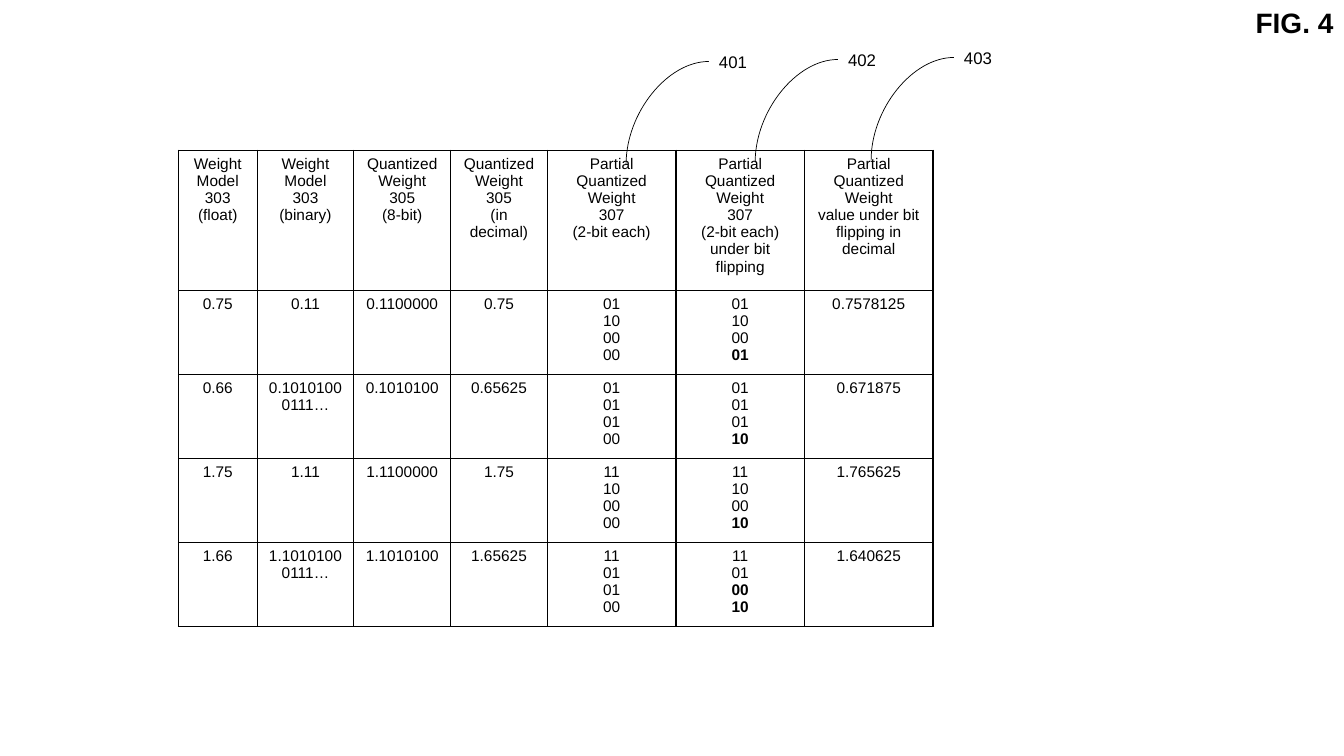
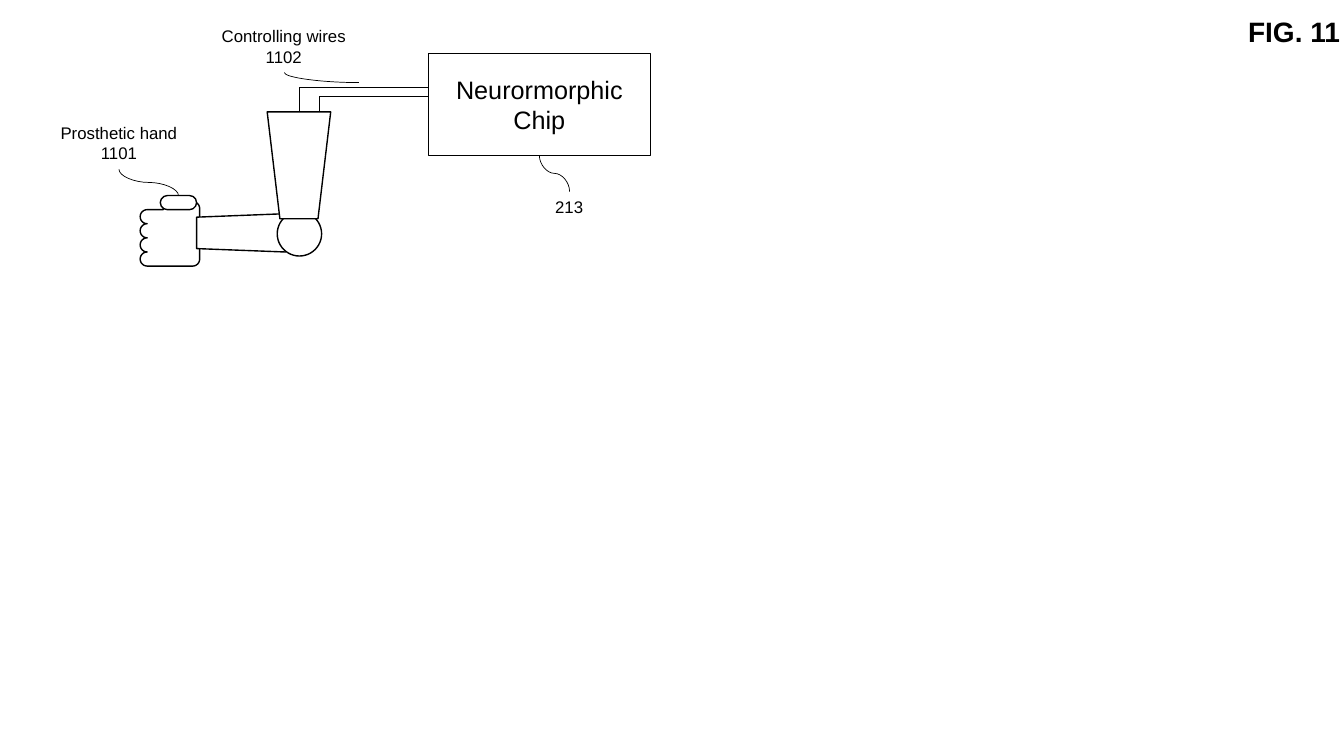
import math

import lxml.etree
import pptx
import pptx.dml.color
import pptx.enum.shapes
import pptx.enum.text
import pptx.oxml.ns
import pptx.util

BLACK = "000000"
WHITE = "FFFFFF"
FONT = "Arial"
SHAPES = pptx.enum.shapes.MSO_SHAPE
CONNECTORS = pptx.enum.shapes.MSO_CONNECTOR
CENTER = pptx.enum.text.PP_ALIGN.CENTER
MIDDLE = pptx.enum.text.MSO_ANCHOR.MIDDLE
TOP = pptx.enum.text.MSO_ANCHOR.TOP
FIT = pptx.enum.text.MSO_AUTO_SIZE.SHAPE_TO_FIT_TEXT

WEIGHT_ROWS = [
    ["Weight Model|303|(float)", "Weight Model|303|(binary)",
     "Quantized Weight|305|(8-bit)", "Quantized Weight|305|(in decimal)",
     "Partial Quantized Weight|307|(2-bit each)",
     "Partial Quantized Weight|307|(2-bit each) under bit flipping",
     "Partial Quantized Weight|value under bit flipping in decimal"],
    ["0.75", "0.11", "0.1100000", "0.75",
     "01|10|00|00", "01|10|00|*01", "0.7578125"],
    ["0.66", "0.10101000111…", "0.1010100", "0.65625",
     "01|01|01|00", "01|01|01|*10", "0.671875"],
    ["1.75", "1.11", "1.1100000", "1.75",
     "11|10|00|00", "11|10|00|*10", "1.765625"],
    ["1.66", "1.10101000111…", "1.1010100", "1.65625",
     "11|01|01|00", "11|01|*00|*10", "1.640625"],
]


def color(value):
    return pptx.dml.color.RGBColor.from_string(value)


def grid(*cells):
    return [pptx.util.Inches(cell / 10) for cell in cells]


def set_values(target, values):
    for name, value in values.items():
        setattr(target, name, value)


def arc(x, y, radius, start, end, steps=12):
    angles = [math.radians(start + (end - start) * step / steps) for step in range(steps + 1)]
    return [(x + radius * math.cos(angle), y + radius * math.sin(angle)) for angle in angles]


class Figure:
    def __init__(self, presentation, title, box):
        self.slide = presentation.slides.add_slide(presentation.slide_layouts[5])
        self.shapes = self.slide.shapes
        heading = self.slide.shapes.title
        set_values(heading, dict(zip(("left", "top", "width", "height"), grid(*box))))
        self.fill_text(heading.text_frame, title, 20, bold=True, word_wrap=False,
                       auto_size=FIT, vertical_anchor=TOP)

    def fill_text(self, frame, text, size, bold=False, **settings):
        set_values(frame, settings)
        for index, line in enumerate(text.split("|")):
            paragraph = frame.paragraphs[0] if index == 0 else frame.add_paragraph()
            paragraph.alignment = CENTER
            run = paragraph.add_run()
            run.text = line.lstrip("*")
            set_values(run.font, {"name": FONT, "size": pptx.util.Pt(size),
                                  "bold": bold or line.startswith("*")})
            run.font.color.rgb = color(BLACK)

    def label(self, text, *box):
        shape = self.shapes.add_textbox(*grid(*box))
        self.fill_text(shape.text_frame, text, 12, word_wrap=True, auto_size=FIT)

    def outline(self, shape, width, fill=WHITE):
        shape.shadow.inherit = False
        if fill:
            shape.fill.solid()
            shape.fill.fore_color.rgb = color(fill)
        else:
            shape.fill.background()
        shape.line.color.rgb = color(BLACK)
        shape.line.width = pptx.util.Pt(width)

    def shape(self, kind, box, rotation=0, adjustment=None, width=1, fill=WHITE):
        shape = self.shapes.add_shape(kind, *grid(*box))
        shape.rotation = rotation
        if adjustment is not None:
            shape.adjustments[0] = adjustment
        self.outline(shape, width, fill)
        return shape

    def polygon(self, points):
        corners = [grid(*point) for point in points]
        builder = self.shapes.build_freeform(*corners[0])
        builder.add_line_segments(corners[1:], close=True)
        self.outline(builder.convert_to_shape(), 1)

    def connect(self, kind, preset, start, end, rotation=0):
        connector = self.shapes.add_connector(kind, *grid(*start, *end))
        properties = connector._element.spPr
        properties.find(pptx.oxml.ns.qn("a:prstGeom")).set("prst", preset)
        if rotation:
            properties.find(pptx.oxml.ns.qn("a:xfrm")).set("rot", str(rotation * 60000))
        connector.line.color.rgb = color(BLACK)
        connector.line.width = pptx.util.Pt(0.5)
        lxml.etree.SubElement(properties, pptx.oxml.ns.qn("a:effectLst"))

    def quarter_curve(self, start, end):
        self.connect(CONNECTORS.CURVE, "curvedConnector2", start, end)

    def wire(self, start, end):
        self.connect(CONNECTORS.ELBOW, "bentConnector2", start, end)

    def vertical_curve(self, start, end):
        x, y = (start[0] + end[0]) / 2, (start[1] + end[1]) / 2
        across, down = (end[0] - start[0]) / 2, (end[1] - start[1]) / 2
        self.connect(CONNECTORS.CURVE, "curvedConnector3",
                     (x - down, y + across), (x + down, y - across), 90)

    def table(self, rows, left, top, widths, heights):
        frame = self.shapes.add_table(len(rows), len(widths),
                                      *grid(left, top, sum(widths), sum(heights)))
        table = frame.table
        set_values(table, {"first_row": False, "horz_banding": False})
        for column, width in zip(table.columns, grid(*widths)):
            column.width = width
        for row, height, texts in zip(table.rows, grid(*heights), rows):
            row.height = height
            for cell, text in zip(row.cells, texts):
                self.fill_text(cell.text_frame, text, 11)
                self.border(cell)
                cell.fill.background()

    def border(self, cell):
        properties = cell._tc.get_or_add_tcPr()
        for side in ("lnL", "lnR", "lnT", "lnB"):
            line = lxml.etree.SubElement(properties, pptx.oxml.ns.qn("a:" + side), w="12700")
            fill = lxml.etree.SubElement(line, pptx.oxml.ns.qn("a:solidFill"))
            lxml.etree.SubElement(fill, pptx.oxml.ns.qn("a:srgbClr"), val=BLACK)

    def start_group(self):
        self.shapes = self.slide.shapes.add_group_shape().shapes

    def end_group(self):
        self.shapes = self.slide.shapes


def build_weight_table(presentation):
    figure = Figure(presentation, "FIG. 4", (123.5, 0, 9.8, 4.4))
    figure.table(WEIGHT_ROWS, 17.7, 14.9, [7.8] + [9.6] * 3 + [12.75] * 3, [13.9] + [8.33] * 4)
    for text, left, top in (("401", 70.3, 4.6), ("402", 83.1, 4.4), ("403", 94.6, 4.2)):
        figure.label(text, left, top, 4.8, 3)
        figure.quarter_curve((left, top + 1.5), (left - 8.2, top + 11.7))


def build_prosthetic_arm(presentation):
    figure = Figure(presentation, "FIG. 11", (122.7, 0.9, 11.3, 4.4))
    radius = 0.7
    knuckles = [point for finger in range(4)
                for point in arc(14.6, 25.7 - 2 * radius * finger, radius, 90, 270)]
    figure.start_group()
    figure.polygon(arc(19.1, 20.7, radius, -90, 0) + arc(19.1, 25.7, radius, 0, 90)
                   + knuckles + [(16.2, 20.8)] + arc(16.9, 20.7, radius, 180, 270))
    figure.shape(SHAPES.ROUNDED_RECTANGLE, (15.9, 19.4, 3.6, 1.4), adjustment=0.5)
    figure.shape(SHAPES.TRAPEZOID, (22, 18.7, 3.8, 8.8), 270, 0.09)
    figure.shape(SHAPES.OVAL, (27.5, 21, 4.4, 4.4))
    figure.shape(SHAPES.TRAPEZOID, (26.5, 11.1, 6.3, 10.6), 180, 0.2)
    figure.end_group()

    figure.label("Prosthetic hand|1101", 4.1, 11.7, 15.4, 5)
    figure.vertical_curve((11.8, 16.8), (17.7, 19.4))
    chip = figure.shape(SHAPES.RECTANGLE, (42.5, 5.3, 22, 10.1), width=0.25, fill=None)
    figure.fill_text(chip.text_frame, "Neurormorphic Chip", 18, word_wrap=True,
                     vertical_anchor=MIDDLE)
    figure.wire((42.5, 8.7), (29.7, 11.1))
    figure.wire((42.5, 9.6), (31.7, 11.1))
    figure.label("Controlling wires|1102", 19.5, 2.1, 17.3, 5)
    figure.quarter_curve((35.6, 8.2), (28.2, 7.2))
    figure.label("213", 53.5, 19, 5.9, 3)
    figure.vertical_curve((56.5, 19), (53.5, 15.4))


def main():
    presentation = pptx.Presentation()
    set_values(presentation, {"slide_width": pptx.util.Inches(13.33),
                              "slide_height": pptx.util.Inches(7.5)})
    build_weight_table(presentation)
    build_prosthetic_arm(presentation)
    presentation.save("out.pptx")


if __name__ == "__main__":
    main()
